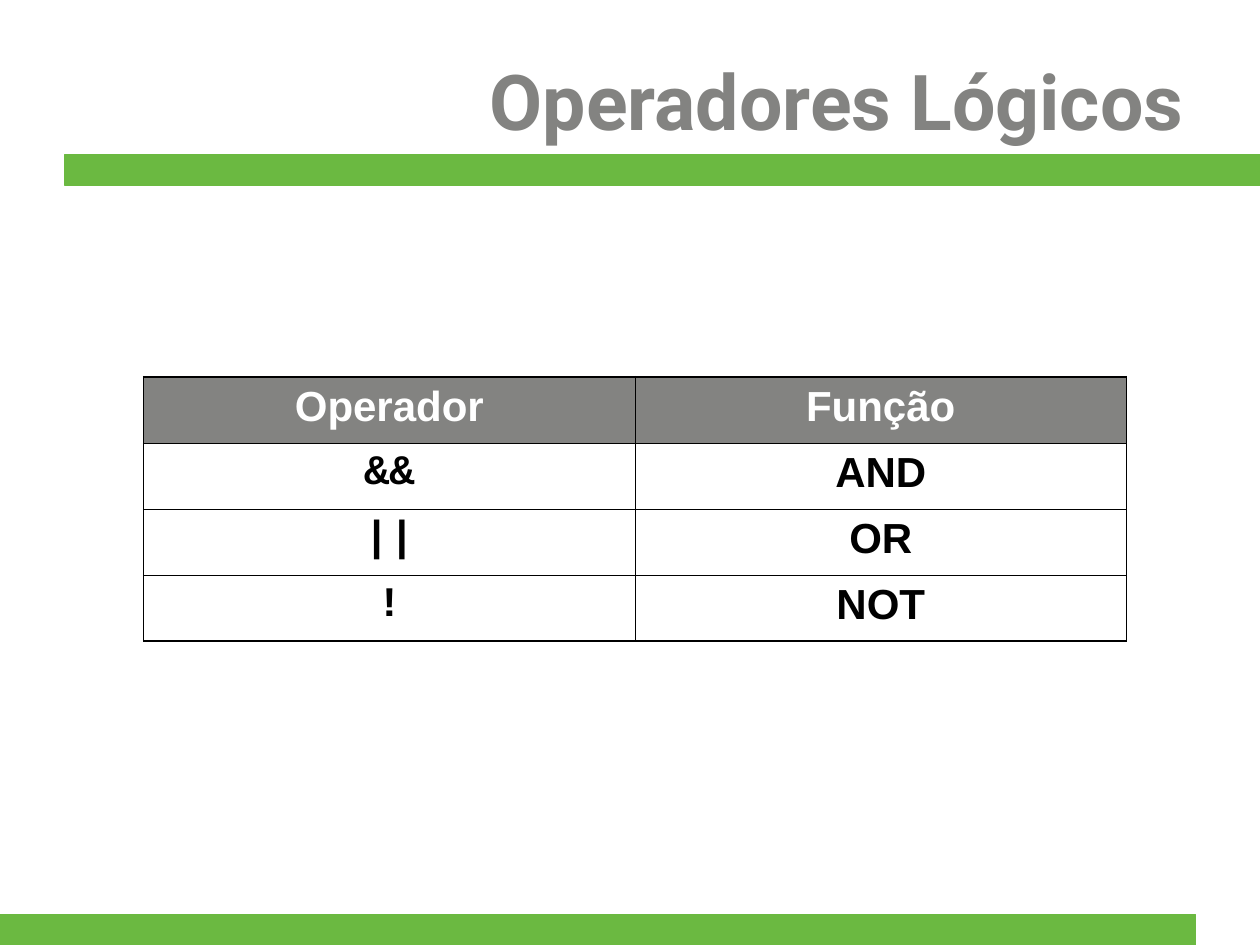
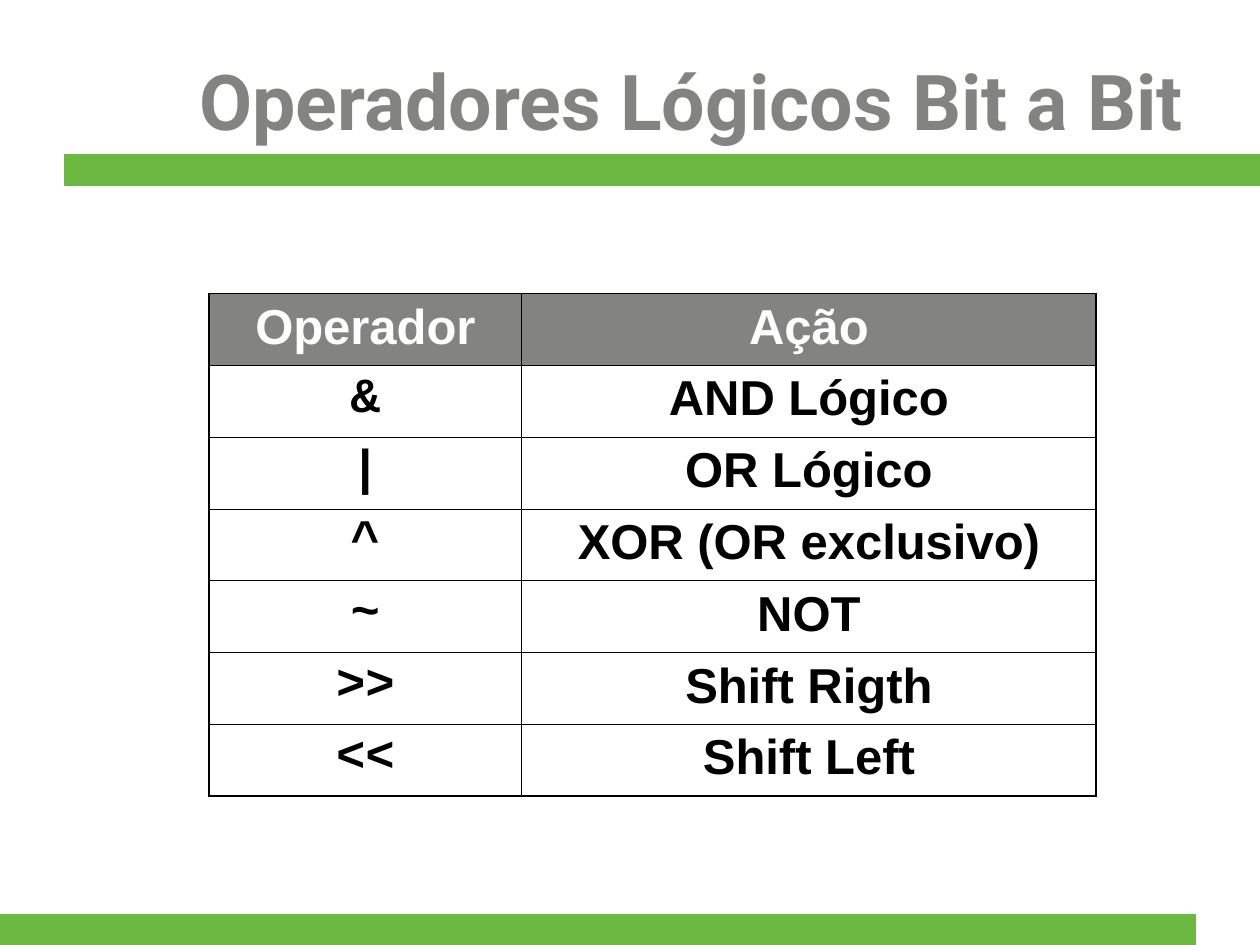
from dataclasses import dataclass

from lxml import etree
from pptx import Presentation
from pptx.dml.color import RGBColor
from pptx.enum import shapes, text
from pptx.oxml import ns
from pptx.util import Inches, Pt


@dataclass(frozen=True)
class Theme:
    green: str = "6BB941"
    gray: str = "838381"
    white: str = "FFFFFF"
    black: str = "000000"
    title_font: str = "Roboto"
    text_font: str = "Arial"
    code_font: str = "Courier New"
    title_size: int = 44
    outer_line: float = 1.08
    inner_line: float = 0.45


THEME = Theme()
SLIDE_BOX = (0, 0, 10, 7.5)
TITLE_BOX = (0.5, 0.44, 9, 0.71)

LOGICAL = [
    ("Operador", "Função"),
    ("&&", "AND"),
    ("||", "OR"),
    ("!", "NOT"),
]
BITWISE = [
    ("Operador", "Ação"),
    ("&", "AND Lógico"),
    ("|", "OR Lógico"),
    ("^", "XOR (OR exclusivo)"),
    ("~", "NOT"),
    (">>", "Shift Rigth"),
    ("<<", "Shift Left"),
]


def style_text(paragraph, font_name, size, color, align):
    paragraph.alignment = align
    for run in paragraph.runs:
        run.font.name = font_name
        run.font.size = Pt(size)
        run.font.bold = True
        run.font.color.rgb = RGBColor.from_string(color)


def add_title(slide, box, wording):
    title = slide.shapes.title
    title.left, title.top, title.width, title.height = map(Inches, box)
    frame = title.text_frame
    frame.text = wording
    frame.auto_size = text.MSO_AUTO_SIZE.NONE
    frame.vertical_anchor = text.MSO_ANCHOR.MIDDLE
    style_text(frame.paragraphs[0], THEME.title_font, THEME.title_size,
               THEME.gray, text.PP_ALIGN.RIGHT)


def add_bands(slide, box):
    """Draw one band under the title and one along the foot of the box."""
    left, top, width, height = box
    margin, thickness = 0.51, 0.24
    for x, y in ((left + margin, top + 1.23), (left, top + height - thickness)):
        band = slide.shapes.add_shape(
            shapes.MSO_SHAPE.RECTANGLE, Inches(x), Inches(y),
            Inches(width - margin), Inches(thickness))
        band.shadow.inherit = False
        band.fill.solid()
        band.fill.fore_color.rgb = RGBColor.from_string(THEME.green)
        band.line.color.rgb = RGBColor.from_string(THEME.green)
        band.line.width = Pt(0.75)


def set_borders(cell, outer_sides):
    """Rule all four sides, with the thicker line on the table's outer sides."""
    properties = cell._tc.get_or_add_tcPr()
    for side in "LRTB":
        weight = THEME.outer_line if side in outer_sides else THEME.inner_line
        line = etree.SubElement(properties, ns.qn(f"a:ln{side}"), w=str(Pt(weight)))
        fill = etree.SubElement(line, ns.qn("a:solidFill"))
        etree.SubElement(fill, ns.qn("a:srgbClr"), val=THEME.black)


def add_operator_table(slide, box, rows, column_widths, size, space_before):
    left, top, width, height = map(Inches, box)
    last_row, last_column = len(rows) - 1, len(column_widths) - 1
    table = slide.shapes.add_table(
        len(rows), len(column_widths), left, top, width, height).table
    table.horz_banding = False
    for column, column_width in zip(table.columns, column_widths):
        column.width = Inches(column_width)

    for r, wordings in enumerate(rows):
        table.rows[r].height = height // len(rows)
        for c, wording in enumerate(wordings):
            cell = table.cell(r, c)
            is_header = r == 0
            edges = {"T": r == 0, "B": r == last_row,
                     "L": c == 0, "R": c == last_column}
            set_borders(cell, [side for side, outer in edges.items() if outer])
            if is_header:
                cell.fill.solid()
                cell.fill.fore_color.rgb = RGBColor.from_string(THEME.gray)
            else:
                cell.fill.background()

            cell.text_frame.text = wording
            paragraph = cell.text_frame.paragraphs[0]
            paragraph.space_before = Pt(space_before)
            is_code = c == 0 and not is_header
            style_text(paragraph,
                       THEME.code_font if is_code else THEME.text_font, size,
                       THEME.white if is_header else THEME.black,
                       text.PP_ALIGN.CENTER)


def add_operator_slide(deck, title, **table):
    slide = deck.slides.add_slide(deck.slide_layouts.get_by_name("Title Only"))
    add_bands(slide, SLIDE_BOX)
    add_title(slide, TITLE_BOX, title)
    add_operator_table(slide, **table)


def main():
    deck = Presentation()
    deck.slide_width, deck.slide_height = map(Inches, SLIDE_BOX[2:])
    add_operator_slide(deck, "Operadores Lógicos", rows=LOGICAL,
                       box=(1.14, 2.99, 7.8, 2.1), column_widths=(3.9, 3.9),
                       size=24, space_before=6)
    add_operator_slide(deck, "Operadores Lógicos Bit a Bit", rows=BITWISE,
                       box=(1.66, 2.33, 7.04, 3.99), column_widths=(2.48, 4.56),
                       size=28, space_before=7)
    deck.save("out.pptx")


if __name__ == "__main__":
    main()
